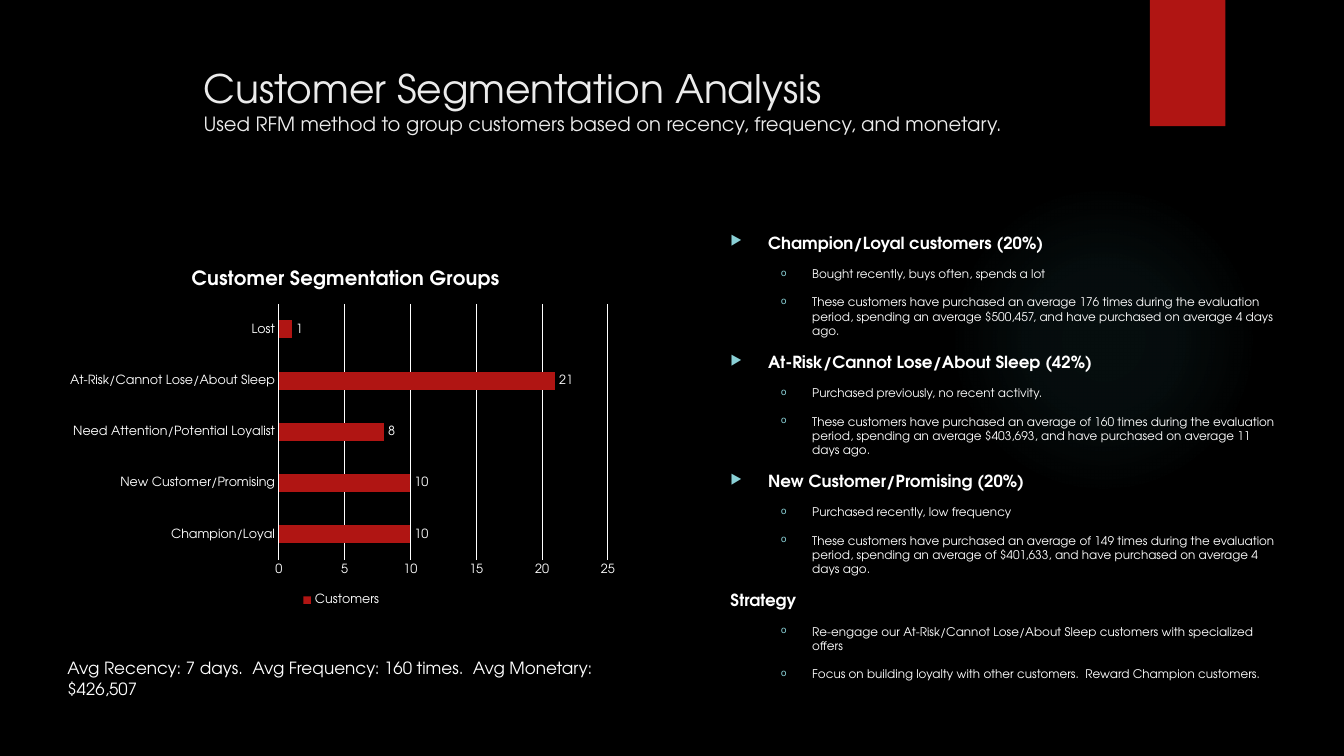
from lxml import etree
from pptx import Presentation
from pptx.chart.data import CategoryChartData
from pptx.dml.color import RGBColor
from pptx.enum.chart import XL_CHART_TYPE, XL_LABEL_POSITION, XL_LEGEND_POSITION, XL_TICK_MARK
from pptx.enum.shapes import MSO_SHAPE
from pptx.oxml import parse_xml
from pptx.oxml.ns import nsdecls, qn
from pptx.util import Cm, Pt

BAR_CLUSTERED = XL_CHART_TYPE.BAR_CLUSTERED
OUTSIDE_END = XL_LABEL_POSITION.OUTSIDE_END
LEGEND_BOTTOM = XL_LEGEND_POSITION.BOTTOM
NO_TICKS = XL_TICK_MARK.NONE
ELLIPSE, RECTANGLE = MSO_SHAPE.OVAL, MSO_SHAPE.RECTANGLE

# Content
FONT = "TeX Gyre Adventor"
BLACK, WHITE, PALE, RED = "000000", "FFFFFF", "EBEBEB", "B01513"
GLOW, BULLET = "50B9C1", "8AD0D6"
GLOW_STOPS = [(0, 7), (36, 6), (69, 0), (100, 0)]  # position %, opacity %

TITLE = "Customer Segmentation Analysis"
SUBTITLE = "Used RFM method to group customers based on recency, frequency, and monetary."
AVERAGES = "Avg Recency: 7 days.  Avg Frequency: 160 times.  Avg Monetary: $426,507"
CHART_TITLE = "Customer Segmentation Groups"
SERIES_NAME = "Customers"
SEGMENT_SIZES = {
    "Champion/Loyal": 10,
    "New Customer/Promising": 10,
    "Need Attention/Potential Loyalist": 8,
    "At-Risk/Cannot Lose/About Sleep": 21,
    "Lost": 1,
}
# heading, heading bullet, points
FINDINGS = [
    ("Champion/Loyal customers (20%)", "▶", [
        "Bought recently, buys often, spends a lot",
        "These customers have purchased an average 176 times during the evaluation period, "
        "spending an average $500,457, and have purchased on average 4 days ago."]),
    ("At-Risk/Cannot Lose/About Sleep (42%)", "▶", [
        "Purchased previously, no recent activity.",
        "These customers have purchased an average of 160 times during the evaluation period, "
        "spending an average $403,693, and have purchased on average 11 days ago."]),
    ("New Customer/Promising (20%)", "▶", [
        "Purchased recently, low frequency",
        "These customers have purchased an average of 149 times during the evaluation period, "
        "spending an average of $401,633, and have purchased on average 4 days ago."]),
    ("Strategy", None, [
        "Re-engage our At-Risk/Cannot Lose/About Sleep customers with specialized offers",
        "Focus on building loyalty with other customers.  Reward Champion customers."]),
]


def rgb(value):
    return RGBColor.from_string(value)


def style(font, size, color=WHITE, bold=False):
    font.name, font.size, font.bold = FONT, Pt(size), bold
    font.color.rgb = rgb(color)


def add_text(slide, left, top, width, height):
    frame = slide.shapes.add_textbox(Cm(left), Cm(top), Cm(width), Cm(height)).text_frame
    frame.word_wrap = True
    return frame


def add_plain_shape(slide, kind, left, top, width, height, color):
    shape = slide.shapes.add_shape(kind, Cm(left), Cm(top), Cm(width), Cm(height))
    shape.shadow.inherit = False
    shape.fill.solid()
    shape.fill.fore_color.rgb = rgb(color)
    shape.line.fill.background()
    return shape


def set_bullet(paragraph, char, margin, hanging):
    props = paragraph._p.get_or_add_pPr()
    props.set("marL", str(Cm(margin)))
    props.set("indent", str(-Cm(hanging)))
    color = etree.SubElement(props, qn("a:buClr"))
    etree.SubElement(color, qn("a:srgbClr"), val=BULLET)
    etree.SubElement(props, qn("a:buSzPct"), val="80000")
    etree.SubElement(props, qn("a:buChar"), char=char)


def place(part, **fractions):
    """Fix the position of a chart part, as fractions of the chart."""
    layout = part.find(qn("c:layout"))
    if layout is None:
        layout = parse_xml(f"<c:layout {nsdecls('c')}/>")
        if part.tag == qn("c:title"):
            part.find(qn("c:tx")).addnext(layout)
        else:
            part.insert(0, layout)
    manual = etree.SubElement(layout, qn("c:manualLayout"))
    if "w" in fractions:
        etree.SubElement(manual, qn("c:layoutTarget"), val="inner")
    for axis in ("x", "y"):
        etree.SubElement(manual, qn(f"c:{axis}Mode"), val="edge")
    for name, fraction in fractions.items():
        etree.SubElement(manual, qn(f"c:{name}"), val=str(fraction))


def add_backdrop(slide):
    slide.background.fill.solid()
    slide.background.fill.fore_color.rgb = rgb(BLACK)
    glow = add_plain_shape(slide, ELLIPSE, 23.9, 4.65, 7.82, 7.82, GLOW)
    stops = "".join(
        f'<a:gs pos="{pos * 1000}"><a:srgbClr val="{GLOW}"><a:alpha val="{alpha * 1000}"/>'
        f"</a:srgbClr></a:gs>" for pos, alpha in GLOW_STOPS)
    gradient = parse_xml(
        f'<a:gradFill {nsdecls("a")} rotWithShape="1"><a:gsLst>{stops}</a:gsLst>'
        '<a:path path="circle"><a:fillToRect l="50000" t="50000" r="50000" b="50000"/>'
        "</a:path></a:gradFill>")
    props = glow._element.spPr
    props.replace(props.find(qn("a:solidFill")), gradient)
    add_plain_shape(slide, RECTANGLE, 28.98, 0, 1.9, 3.18, RED)


def add_heading(slide):
    frame = add_text(slide, 4.88, 1.5, 26.49, 2.08)
    frame.text = f"{TITLE}\v{SUBTITLE}"
    for run, size in zip(frame.paragraphs[0].runs, (28, 14)):
        style(run.font, size, PALE)


def add_findings(slide):
    frame = add_text(slide, 18.16, 5.74, 14.3, 10.74)
    lines = []
    for heading, bullet, points in FINDINGS:
        lines.append((heading, bullet, 0))
        lines += [(point, "o", 1) for point in points]
    frame.text = "\n".join(text for text, _, _ in lines)
    for paragraph, (_, bullet, level) in zip(frame.paragraphs, lines):
        paragraph.level = level
        paragraph.space_before = Pt(10)
        if bullet:
            set_bullet(paragraph, bullet, *((0.95, 0.95), (2.06, 0.79))[level])
        style(paragraph.runs[0].font, (11.9, 8.5)[level], bold=level == 0)


def add_averages(slide):
    frame = add_text(slide, 1.45, 16.46, 15.01, 0.76)
    frame.text = AVERAGES
    style(frame.paragraphs[0].runs[0].font, 12)


def add_segment_chart(slide):
    data = CategoryChartData()
    data.categories = list(SEGMENT_SIZES)
    data.add_series(SERIES_NAME, list(SEGMENT_SIZES.values()))
    chart = slide.shapes.add_chart(
        BAR_CLUSTERED, Cm(1.45), Cm(6.4), Cm(14.3), Cm(8.97), data).chart
    style(chart.font, 10)

    chart.has_title = True
    heading = chart.chart_title.text_frame
    heading.text = CHART_TITLE
    style(heading.paragraphs[0].runs[0].font, 14, bold=True)
    chart.chart_title.include_in_layout = False
    place(chart.chart_title._element, x=0.23, y=0.03)

    chart.has_legend = True
    chart.legend.position = LEGEND_BOTTOM
    chart.legend.include_in_layout = False
    style(chart.legend.font, 9)

    # Axes
    for axis in (chart.category_axis, chart.value_axis):
        axis.major_tick_mark = axis.minor_tick_mark = NO_TICKS
        style(axis.tick_labels.font, 9)
    sizes = chart.value_axis
    sizes.minimum_scale, sizes.maximum_scale, sizes.major_unit = 0, 25, 5
    sizes.format.line.fill.background()
    sizes.has_major_gridlines = True
    for line in (chart.category_axis.format.line, sizes.major_gridlines.format.line):
        line.color.rgb = rgb(WHITE)
        line.width = Pt(0.75)

    # Bars
    plot = chart.plots[0]
    plot.gap_width = 182
    plot.vary_by_categories = False
    customers = plot.series[0]
    customers.format.fill.solid()
    customers.format.fill.fore_color.rgb = rgb(RED)
    labels = customers.data_labels
    labels.show_value = True
    labels.position = OUTSIDE_END
    style(labels.font, 9)
    place(chart._chartSpace.chart.plotArea, x=0.39, y=0.14, w=0.58, h=0.72)


def main():
    deck = Presentation()
    deck.slide_width, deck.slide_height = Cm(33.87), Cm(19.05)
    slide = deck.slides.add_slide(deck.slide_layouts[6])
    for add_part in (add_backdrop, add_heading, add_findings, add_averages, add_segment_chart):
        add_part(slide)
    deck.save("out.pptx")


if __name__ == "__main__":
    main()
